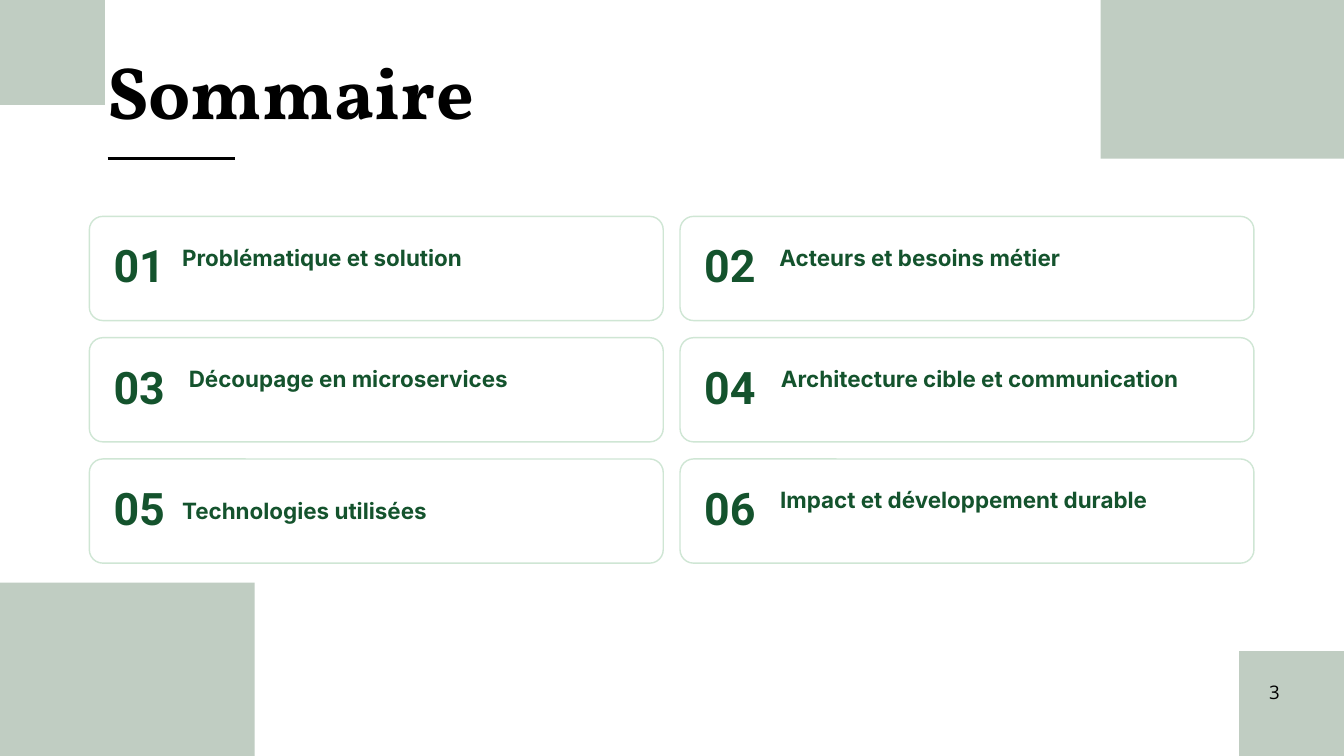
"""Build the "Sommaire" agenda slide: six numbered cards between corner blocks."""
from lxml.etree import SubElement
from pptx import Presentation
from pptx.dml.color import RGBColor
from pptx.enum.shapes import MSO_CONNECTOR, MSO_SHAPE
from pptx.enum.text import MSO_ANCHOR, PP_ALIGN
from pptx.oxml.ns import qn
from pptx.util import Inches, Pt

BLACK = RGBColor(0x00, 0x00, 0x00)
WHITE = RGBColor(0xFF, 0xFF, 0xFF)
SAGE = RGBColor(0xC0, 0xCD, 0xC2)
MINT = RGBColor(0xCF, 0xE6, 0xD4)
FOREST = RGBColor(0x14, 0x53, 0x2D)

TITLE = "Sommaire"
PAGE_NUMBER = "3"

# (topic, left and top inside the card, width, height)
TOPICS = [
    ("Problématique et solution", 1.38, 0.41, 4.92, 0.4),
    ("Acteurs et besoins métier", 1.48, 0.41, 4.8, 0.4),
    ("Découpage en microservices", 1.48, 0.41, 7.04, 0.4),
    ("Architecture cible et communication", 1.5, 0.41, 6.41, 0.4),
    ("Technologies utilisées", 1.38, 0.56, 5.54, 0.4),
    ("Impact et développement durable", 1.49, 0.41, 5.51, 0.79),
]
CORNER_BLOCKS = [
    (18.44, 9.69, 3.12, 3.12),
    (-1.56, -1.56, 3.12, 3.12),
    (16.38, -2.16, 7.58, 4.52),
    (-3.79, 8.67, 7.58, 4.52),
]

COLUMNS = 2
GRID_LEFT, GRID_TOP = 1.33, 3.22
CARD_WIDTH, CARD_HEIGHT = 8.54, 1.55
COLUMN_STEP, ROW_STEP = 8.79, 1.805
CORNER_RADIUS = 0.2


def add_block(slide, preset, box, fill):
    block = slide.shapes.add_shape(preset, *map(Inches, box))
    block.shadow.inherit = False
    block.fill.solid()
    block.fill.fore_color.rgb = fill
    block.line.fill.background()
    return block


def add_label(slide, text, box, font, size, leading, color, bold=True, wrap=True, align=PP_ALIGN.LEFT):
    frame = slide.shapes.add_textbox(*map(Inches, box)).text_frame
    frame.margin_left = frame.margin_top = frame.margin_right = frame.margin_bottom = 0
    frame.word_wrap = wrap
    frame.vertical_anchor = MSO_ANCHOR.TOP
    paragraph = frame.paragraphs[0]
    paragraph.text = text
    paragraph.alignment = align
    paragraph.line_spacing = Pt(leading)
    paragraph.font.name = font
    paragraph.font.size = Pt(size)
    paragraph.font.bold = bold
    paragraph.font.color.rgb = color


def add_card(slide, index, topic, dx, dy, width, height):
    row, column = divmod(index, COLUMNS)
    left = GRID_LEFT + column * COLUMN_STEP
    top = GRID_TOP + row * ROW_STEP
    card = add_block(slide, MSO_SHAPE.ROUNDED_RECTANGLE, (left, top, CARD_WIDTH, CARD_HEIGHT), WHITE)
    card.adjustments[0] = CORNER_RADIUS / CARD_HEIGHT
    card.line.color.rgb = MINT
    card.line.width = Pt(1.5)
    add_label(slide, f"{index + 1:02}", (left + 0.36, top + 0.19, 1, 1.1), "Roboto", 48, 67.2, FOREST)
    add_label(slide, topic, (left + dx, top + dy, width, height), "Inter", 24, 28.8, FOREST)


def add_title_rule(slide):
    rule = slide.shapes.add_connector(
        MSO_CONNECTOR.STRAIGHT, Inches(1.6), Inches(2.36), Inches(3.5), Inches(2.36))
    rule.line.color.rgb = BLACK
    rule.line.width = Pt(3)
    SubElement(rule.element.spPr, qn("a:effectLst"))


def main():
    deck = Presentation()
    deck.slide_width, deck.slide_height = Inches(20), Inches(11.25)
    slide = deck.slides.add_slide(deck.slide_layouts[6])
    for box in CORNER_BLOCKS:
        add_block(slide, MSO_SHAPE.RECTANGLE, box, SAGE)
    add_title_rule(slide)
    add_label(slide, TITLE, (1.6, 0.89, 8.9, 1.17), "Vollkorn", 79.4, 80.2, BLACK)
    for index, topic in enumerate(TOPICS):
        add_card(slide, index, *topic)
    add_label(slide, PAGE_NUMBER, (18.88, 10.07, 0.17, 0.22), "Open Sans", 20, 28, BLACK,
              bold=False, wrap=False, align=PP_ALIGN.CENTER)
    deck.save("out.pptx")


if __name__ == "__main__":
    main()
